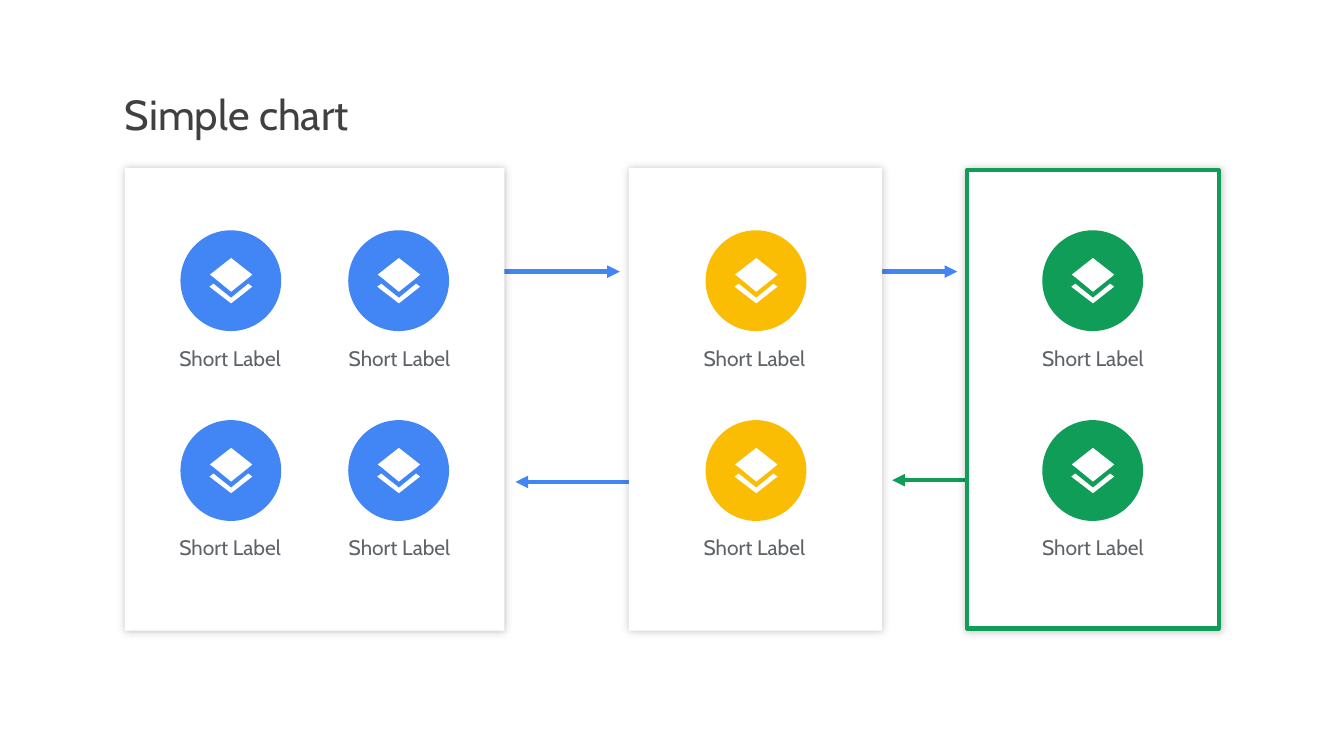
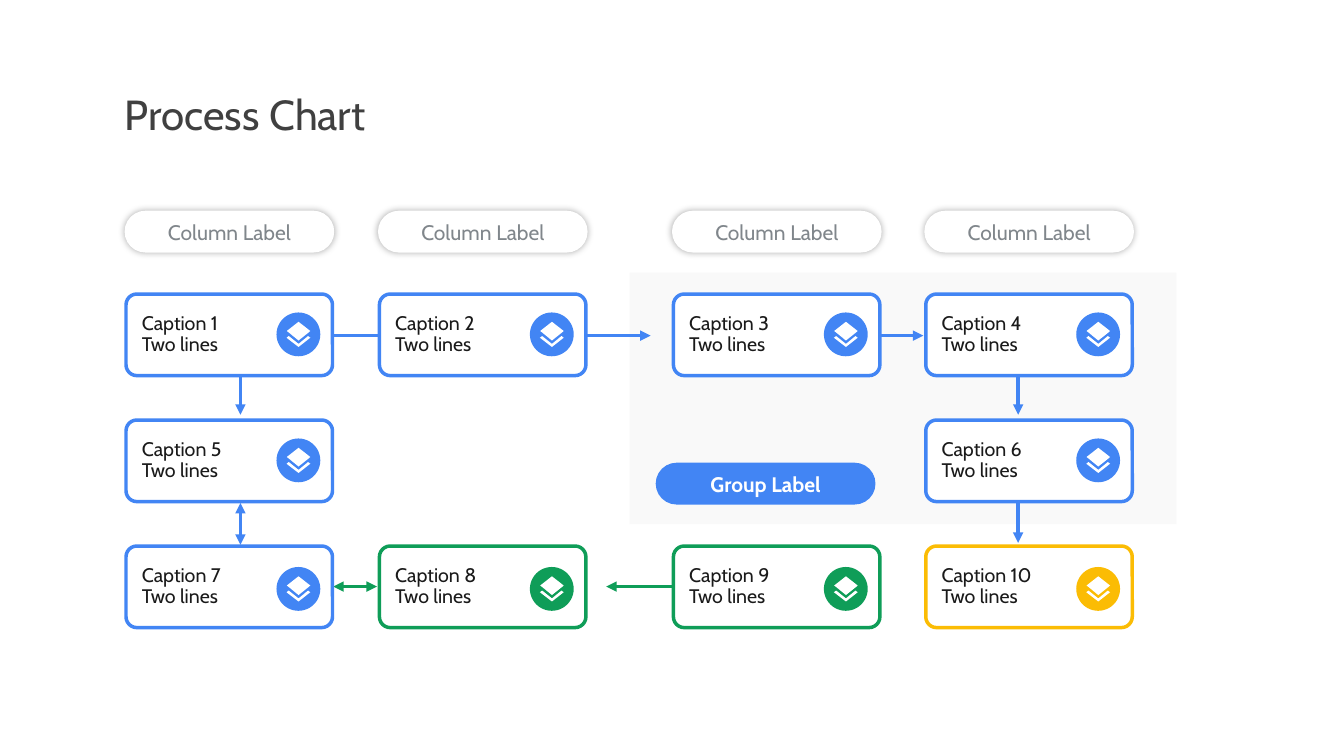
from dataclasses import dataclass

from lxml import etree
from pptx import Presentation
from pptx.dml.color import RGBColor
from pptx.enum import shapes, text
from pptx.oxml import ns
from pptx.util import Pt


@dataclass(frozen=True)
class Theme:
    font: str = "Cabin"
    white: str = "FFFFFF"
    blue: str = "4285F4"
    green: str = "0F9D58"
    yellow: str = "FBBC04"
    region: str = "F9F9F9"
    title: str = "404040"
    label: str = "5F6368"
    pill: str = "80868B"
    caption: str = "1A1A1A"
    title_size: float = 60
    label_size: float = 30
    caption_size: float = 28


T = Theme()
LEFT = text.PP_ALIGN.LEFT
CENTER = text.PP_ALIGN.CENTER
TOP = text.MSO_ANCHOR.TOP
MIDDLE = text.MSO_ANCHOR.MIDDLE
BOTTOM = text.MSO_ANCHOR.BOTTOM

# Layers glyph on an 85 x 90 grid: lower chevron, then upper sheet
GLYPH_W, GLYPH_H = 85, 90
CHEVRON = [(43, 79), (77, 51), (85, 57), (43, 90), (0, 57), (8, 51)]
SHEET = [(43, 67), (9, 39), (1, 33), (43, 0), (85, 33), (78, 39)]

# Process chart grid
COLUMNS = (180, 542, 962, 1322.5)
ROWS = [420 + 180 * i for i in range(3)]
CARD_W, CARD_H = 295, 116.6
CARD_ICON_TOPS = (446.4, 626.4, 810)


def rgb(color):
    return RGBColor.from_string(color)


def sub(parent, tag, **attrs):
    return etree.SubElement(parent, ns.qn(tag), attrs)


# Text
def write(sp, lines, size, color, align=LEFT, anchor=TOP, inset=0,
          bold=False, spacing=None):
    tf = sp.text_frame
    tf.word_wrap = True
    tf.vertical_anchor = anchor
    tf.margin_left = tf.margin_right = Pt(inset)
    tf.margin_top = tf.margin_bottom = Pt(inset)
    p = tf.paragraphs[0]
    p.alignment = align
    if spacing:
        p.line_spacing = spacing
    for i, line in enumerate(lines):
        if i:
            p.add_line_break()
        r = p.add_run()
        r.text = line
        r.font.name = T.font
        r.font.size = Pt(size)
        r.font.bold = bold
        r.font.color.rgb = rgb(color)


def add_text(slide, box, words, size, color, **style):
    sp = slide.shapes.add_textbox(*map(Pt, box))
    write(sp, [words], size, color, **style)


def add_title(slide, words):
    add_text(slide, (178.5, 122.4, 382, 76.3), words, T.title_size, T.title,
             anchor=BOTTOM)


# Shapes
def paint(sp, fill, line=None, width=0):
    sp.shadow.inherit = False
    sp.fill.solid()
    sp.fill.fore_color.rgb = rgb(fill)
    if line:
        sp.line.color.rgb = rgb(line)
        sp.line.width = Pt(width)
    else:
        sp.line.fill.background()


def add_glow(sp, blur, opacity):
    effects = sp.element.spPr.find(ns.qn("a:effectLst"))
    shadow = sub(effects, "a:outerShdw", blurRad=str(Pt(blur)), dist="0",
                 dir="0", algn="ctr", rotWithShape="0")
    color = sub(shadow, "a:srgbClr", val="000000")
    sub(color, "a:alpha", val=str(opacity * 1000))


def add_box(slide, box, fill, corner=0, line=None, width=0):
    sp = slide.shapes.add_shape(shapes.MSO_SHAPE.ROUNDED_RECTANGLE,
                                *map(Pt, box))
    sp.adjustments[0] = corner
    paint(sp, fill, line, width)
    return sp


def add_panel(slide, box, line=None):
    add_glow(add_box(slide, box, T.white, line=line, width=6), 12, 22)


def add_pill(slide, box, words, fill, color, bold=False):
    sp = add_box(slide, box, fill, corner=0.5)
    write(sp, [words], T.label_size, color, CENTER, MIDDLE, bold=bold)
    return sp


def add_arrow(slide, start, end, color, width, both=False):
    c = slide.shapes.add_connector(shapes.MSO_CONNECTOR.STRAIGHT,
                                   *map(Pt, start + end))
    c.line.color.rgb = rgb(color)
    c.line.width = Pt(width)
    spPr = c.element.spPr
    ln = spPr.find(ns.qn("a:ln"))
    if both:
        sub(ln, "a:headEnd", type="triangle")
    sub(ln, "a:tailEnd", type="triangle")
    sub(spPr, "a:effectLst")


def add_icon(slide, x, y, size, glyph_width, color):
    disc = slide.shapes.add_shape(shapes.MSO_SHAPE.OVAL,
                                  *map(Pt, (x, y, size, size)))
    paint(disc, color)
    unit = glyph_width / GLYPH_W
    fb = slide.shapes.build_freeform(*CHEVRON[0], scale=Pt(unit))
    fb.add_line_segments(CHEVRON[1:], close=True)
    fb.move_to(*SHEET[0])
    fb.add_line_segments(SHEET[1:], close=True)
    glyph = fb.convert_to_shape(Pt(x + (size - glyph_width) / 2),
                                Pt(y + (size - GLYPH_H * unit) / 2))
    paint(glyph, T.white)


def add_card(slide, column, row, number, color):
    x, y = COLUMNS[column], ROWS[row]
    card = add_box(slide, (x, y, CARD_W, CARD_H), T.white, 0.133, color, 5)
    write(card, [f"Caption {number}", "Two lines"], T.caption_size, T.caption,
          anchor=MIDDLE, inset=18, spacing=0.9)
    add_icon(slide, x + 215, CARD_ICON_TOPS[row], 62.6, 34, color)


# Slides
def simple_chart(slide):
    # Arrows sit behind the panels
    for start, end, color in [
        ((1591, 686), (1274.5, 686), T.green),
        ((1206.5, 388), (1367.5, 388), T.blue),
        ((587, 388), (885.5, 388), T.blue),
        ((1052.5, 688.5), (736.5, 688.5), T.blue),
    ]:
        add_arrow(slide, start, end, color, 6)
    add_title(slide, "Simple chart")

    add_panel(slide, (178.5, 240, 542, 661))
    add_panel(slide, (898.5, 240, 361.5, 661))
    add_panel(slide, (1381, 243.4, 360, 654.5), T.green)

    # Each column: icon left, label left, colour
    for icon_x, label_x, color in [
        (257.8, 252, T.blue),
        (497.5, 494, T.blue),
        (1008, 1001, T.yellow),
        (1489, 1484.6, T.green),
    ]:
        for icon_y in (329, 600.2):
            add_icon(slide, icon_x, icon_y, 144, 61.2, color)
            add_text(slide, (label_x, icon_y + 164, 153.4, 38.2),
                     "Short Label", T.label_size, T.label, align=CENTER)


def process_chart(slide):
    add_box(slide, (899.3, 389.5, 781.2, 359.3), T.region)

    # Arrows sit behind the cards
    down_left, down_right, top_y, bottom_y = 343.5, 1454.5, 479.5, 838
    for start, end, color, both in [
        ((down_left, 444.2), (down_left, 592.5), T.blue, False),
        ((down_right, 444.2), (down_right, 592.5), T.blue, False),
        ((down_right, 627), (down_right, 775.5), T.blue, False),
        ((970, bottom_y), (866, bottom_y), T.green, False),
        ((1215.4, top_y), (1319, top_y), T.blue, False),
        ((825.8, top_y), (929.5, top_y), T.blue, False),
        ((476, top_y), (579.6, top_y), T.blue, False),
        ((down_left, 778.3), (down_left, 718.5), T.blue, True),
        ((476, bottom_y), (538.5, bottom_y), T.green, True),
    ]:
        add_arrow(slide, start, end, color, 5, both)
    add_title(slide, "Process Chart")

    for x in COLUMNS:
        pill = add_pill(slide, (x - 2, 301, 299.5, 59.8), "Column Label",
                        T.white, T.pill)
        add_glow(pill, 10, 30)

    # Cards in caption order: column, row, colour
    cards = [
        (0, 0, T.blue), (1, 0, T.blue), (2, 0, T.blue), (3, 0, T.blue),
        (0, 1, T.blue), (3, 1, T.blue),
        (0, 2, T.blue), (1, 2, T.green), (2, 2, T.green), (3, 2, T.yellow),
    ]
    for number, (column, row, color) in enumerate(cards, 1):
        add_card(slide, column, row, number, color)
    add_pill(slide, (936.7, 661, 314, 59.8), "Group Label", T.blue, T.white,
             bold=True)


def main():
    prs = Presentation()
    prs.slide_width, prs.slide_height = Pt(1920), Pt(1080)
    for build in (simple_chart, process_chart):
        build(prs.slides.add_slide(prs.slide_layouts[6]))
    prs.save("out.pptx")


if __name__ == "__main__":
    main()
